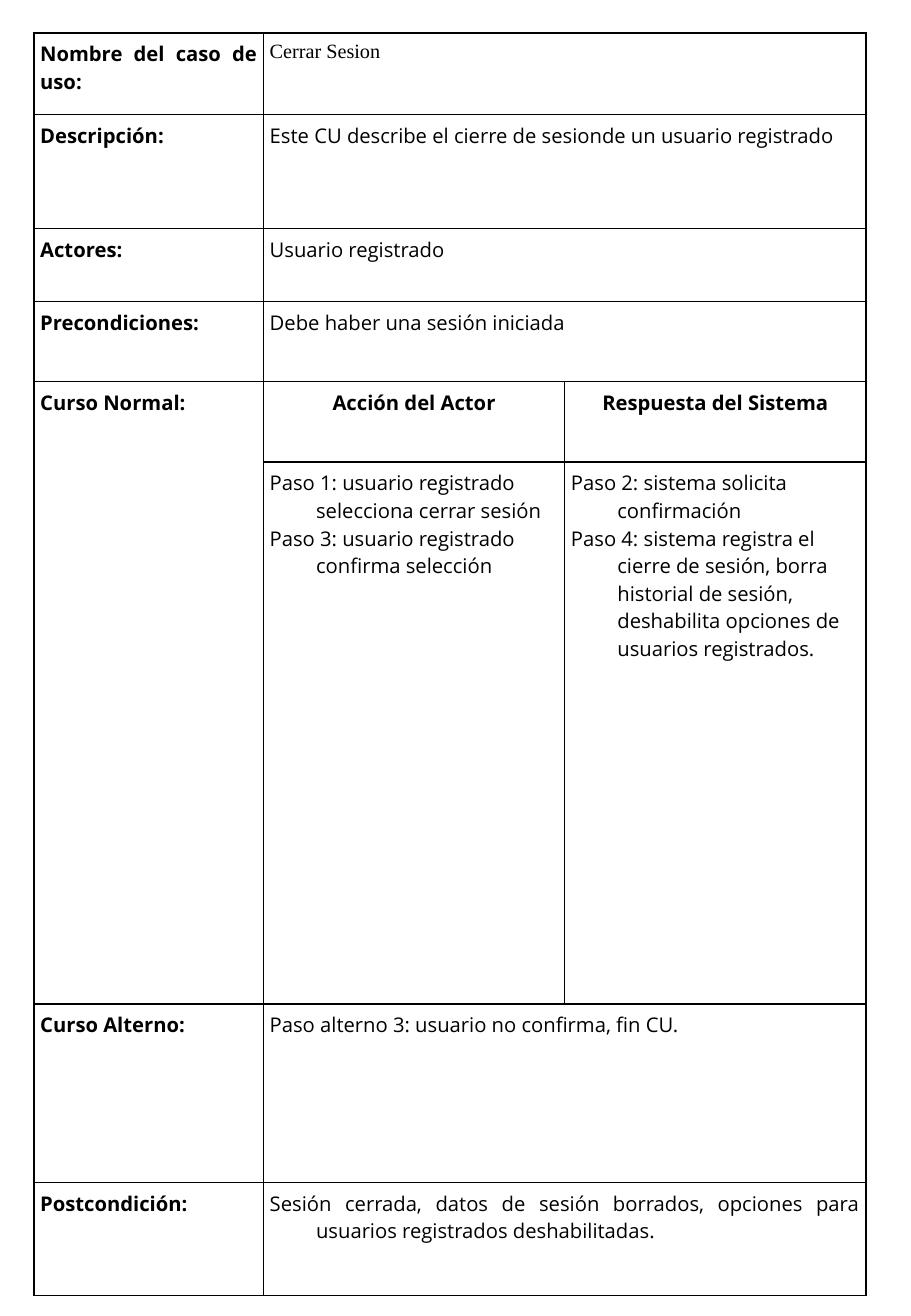
from lxml import etree
from pptx import Presentation
from pptx import util as u
from pptx.dml import color
from pptx.enum import text
from pptx.oxml import ns

JUSTIFY, CENTER, LEFT = text.PP_ALIGN.JUSTIFY, text.PP_ALIGN.CENTER, text.PP_ALIGN.LEFT
HANGING = 0.97

COLUMN_WIDTHS = [4.8, 6.3, 6.3]
ROW_HEIGHTS = [1.7, 2.39, 1.52, 1.68, 1.68, 11.33, 3.73, 2.36]

# row, label, content, hanging indent, content font
FIELDS = [
    (0, "Nombre del caso de uso:", "Cerrar Sesion", 0, "Times New Roman"),
    (1, "Descripción:", "Este CU describe el cierre de sesionde un usuario registrado", 0, "Open Sans"),
    (2, "Actores:", "Usuario registrado", 0, "Open Sans"),
    (3, "Precondiciones:", "Debe haber una sesión iniciada", 0, "Open Sans"),
    (6, "Curso Alterno:", "Paso alterno 3: usuario no confirma, fin CU.", HANGING, "Open Sans"),
    (7, "Postcondición:", "Sesión cerrada, datos de sesión borrados, opciones para "
     "usuarios registrados deshabilitadas.", HANGING, "Open Sans"),
]
COURSE_ROW = 4
COURSE = [
    ("Acción del Actor", [
        "Paso 1: usuario registrado selecciona cerrar sesión",
        "Paso 3: usuario registrado confirma selección"]),
    ("Respuesta del Sistema", [
        "Paso 2: sistema solicita confirmación",
        "Paso 4: sistema registra el cierre de sesión, borra historial de sesión, "
        "deshabilita opciones de usuarios registrados."]),
]


def rgb(value):
    return color.RGBColor.from_string(value)


def write(frame, paragraphs, font="Open Sans", size=12, bold=False, ink="000000",
          align=JUSTIFY, hanging=0):
    for index, content in enumerate(paragraphs):
        paragraph = frame.add_paragraph() if index else frame.paragraphs[0]
        paragraph.alignment = align
        indent = u.Cm(hanging)
        properties = paragraph._p.get_or_add_pPr()
        properties.set("marL", str(indent))
        properties.set("indent", str(-indent))
        run = paragraph.add_run()
        run.text = content
        run.font.name = font
        run.font.size = u.Pt(size)
        run.font.bold = bold
        run.font.color.rgb = rgb(ink)


class UseCaseSheet:
    def __init__(self, slide, paper="FFFFFF", rule="000000", rule_width=1):
        self.slide = slide
        self.paper = paper
        self.rule = rule
        self.rule_width = rule_width

    def table(self, left, top, widths, heights):
        frame = self.slide.shapes.add_table(
            len(heights), len(widths), u.Cm(left), u.Cm(top),
            u.Cm(sum(widths)), u.Cm(sum(heights)))
        table = frame.table
        table.first_row = table.horz_banding = False
        for column, width in zip(table.columns, widths):
            column.width = u.Cm(width)
        for row, height in zip(table.rows, heights):
            row.height = u.Cm(height)
        for cell in table.iter_cells():
            self.style_cell(cell)
        return table

    def style_cell(self, cell):
        cell.margin_left = cell.margin_right = u.Cm(0.13)
        cell.margin_top = cell.margin_bottom = u.Cm(0.15)
        cell.fill.solid()
        cell.fill.fore_color.rgb = rgb(self.paper)
        properties = cell._tc.get_or_add_tcPr()
        for position, side in enumerate(("lnL", "lnR", "lnT", "lnB")):
            border = etree.Element(ns.qn(f"a:{side}"), w=str(u.Pt(self.rule_width)))
            fill = etree.SubElement(border, ns.qn("a:solidFill"))
            etree.SubElement(fill, ns.qn("a:srgbClr"), val=self.rule)
            properties.insert(position, border)

    def field(self, table, row, label, content, hanging, font):
        """Fill a row with a bold label and content across the other columns."""
        table.cell(row, 1).merge(table.cell(row, 2))
        write(table.cell(row, 0).text_frame, [label], bold=True, hanging=hanging)
        write(table.cell(row, 1).text_frame, [content], font=font, hanging=hanging)

    def course(self, table, row, label, columns):
        """Fill two rows: a label spanning both, then headings above their steps."""
        table.cell(row, 0).merge(table.cell(row + 1, 0))
        write(table.cell(row, 0).text_frame, [label], bold=True, hanging=HANGING)
        for column, (heading, steps) in enumerate(columns, start=1):
            write(table.cell(row, column).text_frame, [heading], bold=True,
                  align=CENTER, hanging=HANGING)
            write(table.cell(row + 1, column).text_frame, steps,
                  align=LEFT, hanging=HANGING)


def main():
    presentation = Presentation()
    presentation.slide_width = u.Cm(19.05)
    presentation.slide_height = u.Cm(27.51)
    sheet = UseCaseSheet(presentation.slides.add_slide(presentation.slide_layouts[6]))
    use_case = sheet.table(0.71, 0.69, COLUMN_WIDTHS, ROW_HEIGHTS)
    for field in FIELDS:
        sheet.field(use_case, *field)
    sheet.course(use_case, COURSE_ROW, "Curso Normal:", COURSE)
    presentation.save("out.pptx")


if __name__ == "__main__":
    main()
